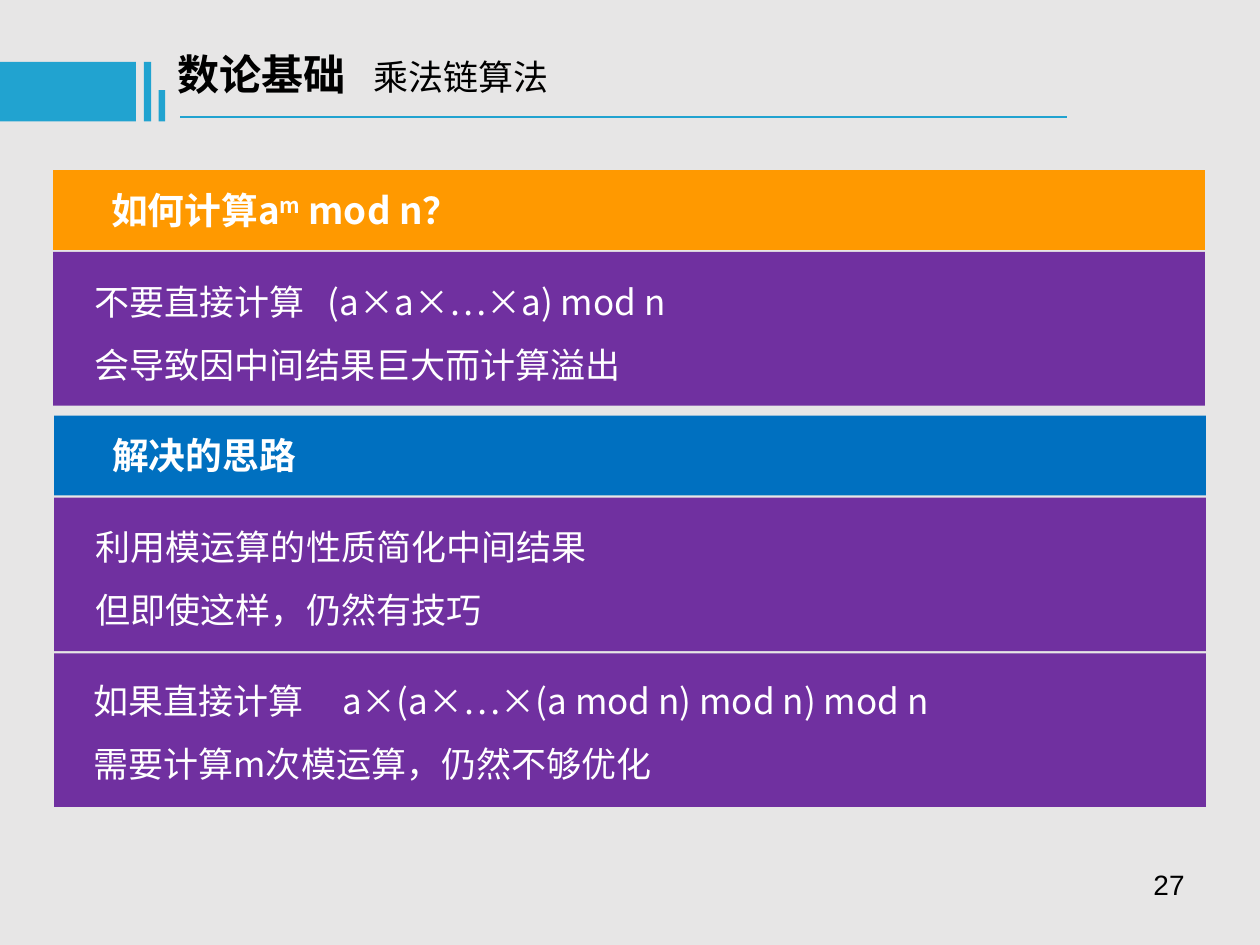
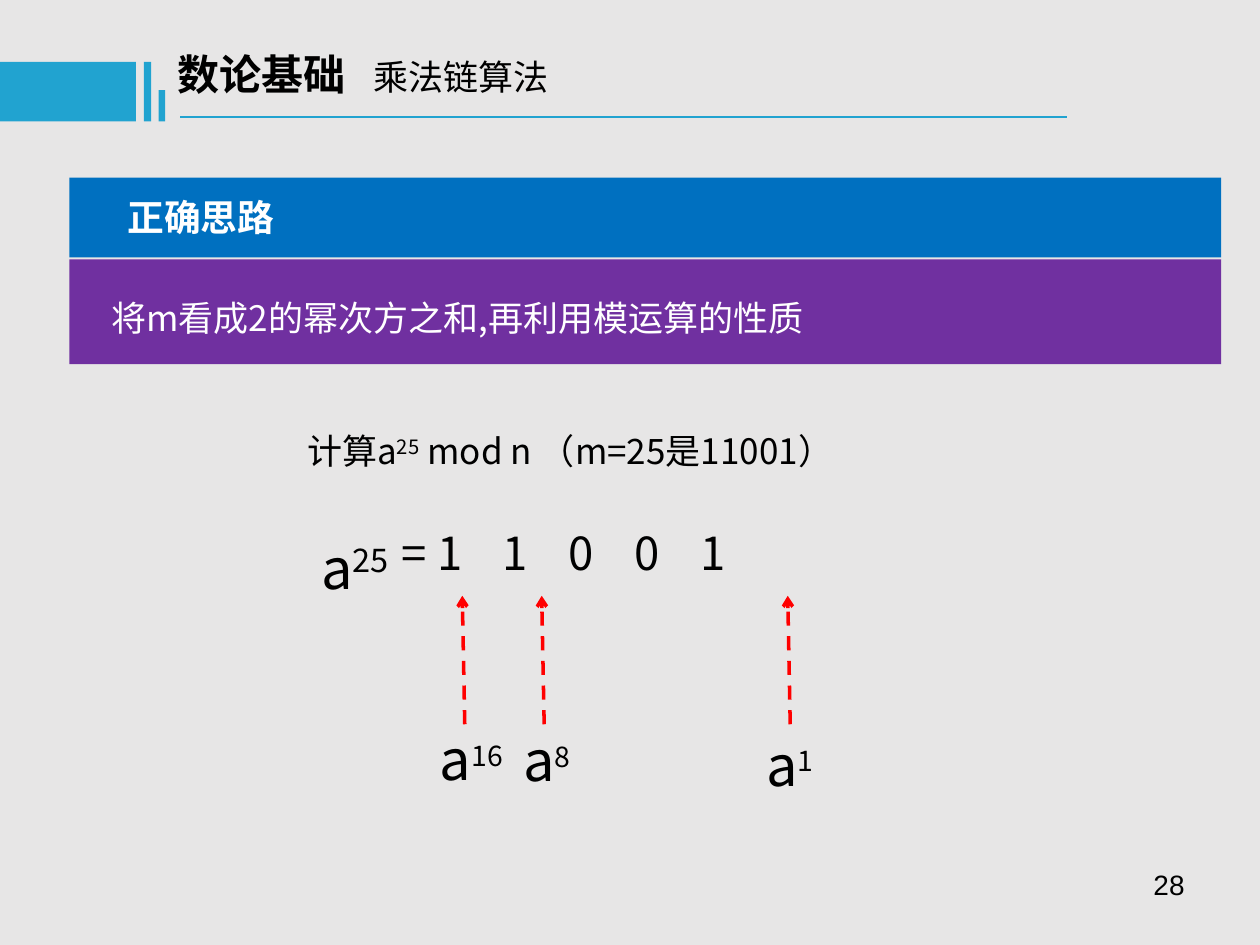
import pptx
import pptx.util
import pptx.dml.color
import pptx.enum.dml
import pptx.enum.shapes
import pptx.enum.text
import pptx.oxml.ns
from dataclasses import dataclass
from lxml import etree

Cm, Pt = pptx.util.Cm, pptx.util.Pt
RGB = pptx.dml.color.RGBColor.from_string
ALIGN = pptx.enum.text.PP_ALIGN
qn = pptx.oxml.ns.qn


@dataclass(frozen=True)
class Theme:
    font: str = "Noto Sans CJK SC"
    number_font: str = "Arial"
    background: str = "E7E6E6"
    band: str = "21A3D0"
    panel: str = "7030A0"
    question: str = "FF9900"
    idea: str = "0070C0"
    arrow: str = "FF0000"
    dark: str = "000000"
    light: str = "FFFFFF"
    title: int = 24
    heading: int = 21
    body: int = 20
    digits: int = 26
    power: int = 32
    exponent: int = 28
    number: int = 16


T = Theme()
PANEL_WIDTH, HEADING_HEIGHT, PANEL_GAP = 23.22, 1.61, 0.04


@dataclass
class Block:
    """Purple block: lines are (text, tab stops) pairs, lengths in cm."""
    lines: list
    height: float = 3.1
    inset_left: float = 0.84
    inset_top: float = 0.15


# ---- text ----
def style(p, size, color, bold=False, font=T.font, align=ALIGN.LEFT, tabs=()):
    p.alignment = align
    if tabs:
        tab_list = etree.SubElement(p._p.get_or_add_pPr(), qn("a:tabLst"))
        for pos in tabs:
            etree.SubElement(tab_list, qn("a:tab"), pos=str(Cm(pos)), algn="l")
    p.font.size, p.font.bold, p.font.name = Pt(size), bold, font
    p.font.color.rgb = RGB(color)
    latin = p._p.pPr.find(qn("a:defRPr")).find(qn("a:latin"))
    latin.addnext(latin.makeelement(qn("a:ea"), {"typeface": font}))


def add_run(p, text, size=None, bold=None, raised=False):
    r = p.add_run()
    r.text = text
    if size:
        r.font.size = Pt(size)
    if bold is not None:
        r.font.bold = bold
    if raised:
        r._r.get_or_add_rPr().set("baseline", "30000")


def add_power(p, before, exponent, after="", size=None):
    add_run(p, before)
    add_run(p, exponent, size, raised=True)
    if after:
        add_run(p, after)


def set_frame(tf, left=0.25, top=0.13, wrap=True):
    tf.word_wrap = wrap
    tf.auto_size = pptx.enum.text.MSO_AUTO_SIZE.NONE
    tf.vertical_anchor = pptx.enum.text.MSO_ANCHOR.TOP
    tf.margin_left, tf.margin_right = Cm(left), Cm(0.25)
    tf.margin_top, tf.margin_bottom = Cm(top), Cm(0.13)


def add_label(slide, left, top, width, height, size, wrap=True, **options):
    s = slide.shapes.add_textbox(Cm(left), Cm(top), Cm(width), Cm(height))
    set_frame(s.text_frame, wrap=wrap)
    p = s.text_frame.paragraphs[0]
    style(p, size, T.dark, **options)
    return p


# ---- shapes ----
def add_box(slide, left, top, width, height, color):
    s = slide.shapes.add_shape(pptx.enum.shapes.MSO_SHAPE.RECTANGLE,
                               Cm(left), Cm(top), Cm(width), Cm(height))
    s.shadow.inherit = False
    s.fill.solid()
    s.fill.fore_color.rgb = RGB(color)
    s.line.fill.background()
    return s


def add_line(slide, x1, y1, x2, y2, color, width):
    s = slide.shapes.add_connector(pptx.enum.shapes.MSO_CONNECTOR.STRAIGHT,
                                   Cm(x1), Cm(y1), Cm(x2), Cm(y2))
    s.line.color.rgb = RGB(color)
    s.line.width = Pt(width)
    etree.SubElement(s._element.spPr, qn("a:effectLst"))
    return s


def add_dashed_arrow(slide, x1, y1, x2, y2):
    s = add_line(slide, x1, y1, x2, y2, T.arrow, 2)
    s.line.dash_style = pptx.enum.dml.MSO_LINE.DASH
    etree.SubElement(s.line._get_or_add_ln(), qn("a:tailEnd"), type="arrow")


def add_panel(slide, left, top, color, heading, blocks):
    """Heading bar with stacked blocks below; heading holds add_power parts or one text."""
    s = add_box(slide, left, top, PANEL_WIDTH, HEADING_HEIGHT, color)
    set_frame(s.text_frame, left=1.17, top=0.35)
    p = s.text_frame.paragraphs[0]
    style(p, T.heading, T.light, bold=True)
    if len(heading) > 1:
        add_power(p, *heading)
    else:
        add_run(p, heading[0])

    top += HEADING_HEIGHT + PANEL_GAP
    for block in blocks:
        s = add_box(slide, left, top, PANEL_WIDTH, block.height, T.panel)
        tf = s.text_frame
        set_frame(tf, block.inset_left, block.inset_top)
        for i, (text, tabs) in enumerate(block.lines):
            p = tf.add_paragraph() if i else tf.paragraphs[0]
            p.line_spacing = 1.5
            style(p, T.body, T.light, tabs=tabs)
            add_run(p, text)
        top += block.height + PANEL_GAP


# ---- shared slide frame ----
def add_slide(prs, number):
    slide = prs.slides.add_slide(prs.slide_layouts.get_by_name("Title Only"))
    title = slide.shapes.title
    title.left, title.top = Cm(3.33), Cm(0.84)
    title.width, title.height = Cm(18.01), Cm(1.27)
    set_frame(title.text_frame)
    p = title.text_frame.paragraphs[0]
    style(p, T.title, T.dark, tabs=[3.95])
    add_run(p, "数论基础\t", bold=True)
    add_run(p, "乘法链算法", T.body, bold=False)

    for left, top, width, height in ((0, 1.25, 2.74, 1.2), (2.9, 1.25, 0.15, 1.2),
                                     (3.2, 1.82, 0.13, 0.63)):
        add_box(slide, left, top, width, height, T.band)
    add_line(slide, 3.63, 2.36, 21.51, 2.36, T.band, 1.5)

    p = add_label(slide, 18.21, 17.35, 5.92, 1.32, T.number,
                  font=T.number_font, align=ALIGN.RIGHT)
    add_run(p, str(number))
    return slide


# ---- slides ----
def build_question(prs):
    slide = add_slide(prs, 27)
    add_panel(slide, 1.07, 3.43, T.question, ("如何计算a", "m", " mod n？"), [
        Block([("不要直接计算\t(a×a×…×a) mod n", [4.7]),
               ("会导致因中间结果巨大而计算溢出", [])])])
    add_panel(slide, 1.09, 8.38, T.idea, ("解决的思路",), [
        Block([("利用模运算的性质简化中间结果", []),
               ("但即使这样，仍然有技巧", [])]),
        Block([("如果直接计算\ta×(a×…×(a mod n) mod n) mod n", [5.02]),
               ("需要计算m次模运算，仍然不够优化", [])],
              inset_left=0.79, inset_top=0.1)])


def build_binary_powers(prs):
    slide = add_slide(prs, 28)
    add_panel(slide, 1.4, 3.58, T.idea, ("正确思路",), [
        Block([("将m看成2的幂次方之和,再利用模运算的性质", [])],
              height=2.11, inset_top=0.33)])

    # Worked example
    p = add_label(slide, 5.94, 8.53, 12.12, 1.96, T.body)
    add_power(p, "计算a", "25", " mod n （m=25是11001）")
    p = add_label(slide, 6.22, 10.62, 1.88, 1.63, T.power, wrap=False, align=ALIGN.CENTER)
    add_power(p, "a", "25")
    digit_stops = [0.71 + 1.33 * i for i in range(1, 5)]
    p = add_label(slide, 7.85, 10.46, 8.81, 1.37, T.digits, tabs=digit_stops)
    add_run(p, "= " + "\t".join("11001"))

    # Powers that belong to the set bits
    for exponent, arrow_x, left, top, width in (("16", 9.37, 8.61, 14.48, 1.78),
                                                ("8", 10.97, 10.29, 14.5, 1.47),
                                                ("1", 15.93, 15.19, 14.6, 1.47)):
        p = add_label(slide, left, top, width, 1.63, T.power, wrap=False, align=ALIGN.CENTER)
        add_power(p, "a", exponent, size=T.exponent)
        add_dashed_arrow(slide, arrow_x, 14.6, arrow_x - 0.05, 12.01)


def main():
    prs = pptx.Presentation()
    prs.slide_width, prs.slide_height = Cm(25.4), Cm(19.05)
    fill = prs.slide_master.background.fill
    fill.solid()
    fill.fore_color.rgb = RGB(T.background)
    build_question(prs)
    build_binary_powers(prs)
    prs.save("out.pptx")


if __name__ == "__main__":
    main()
